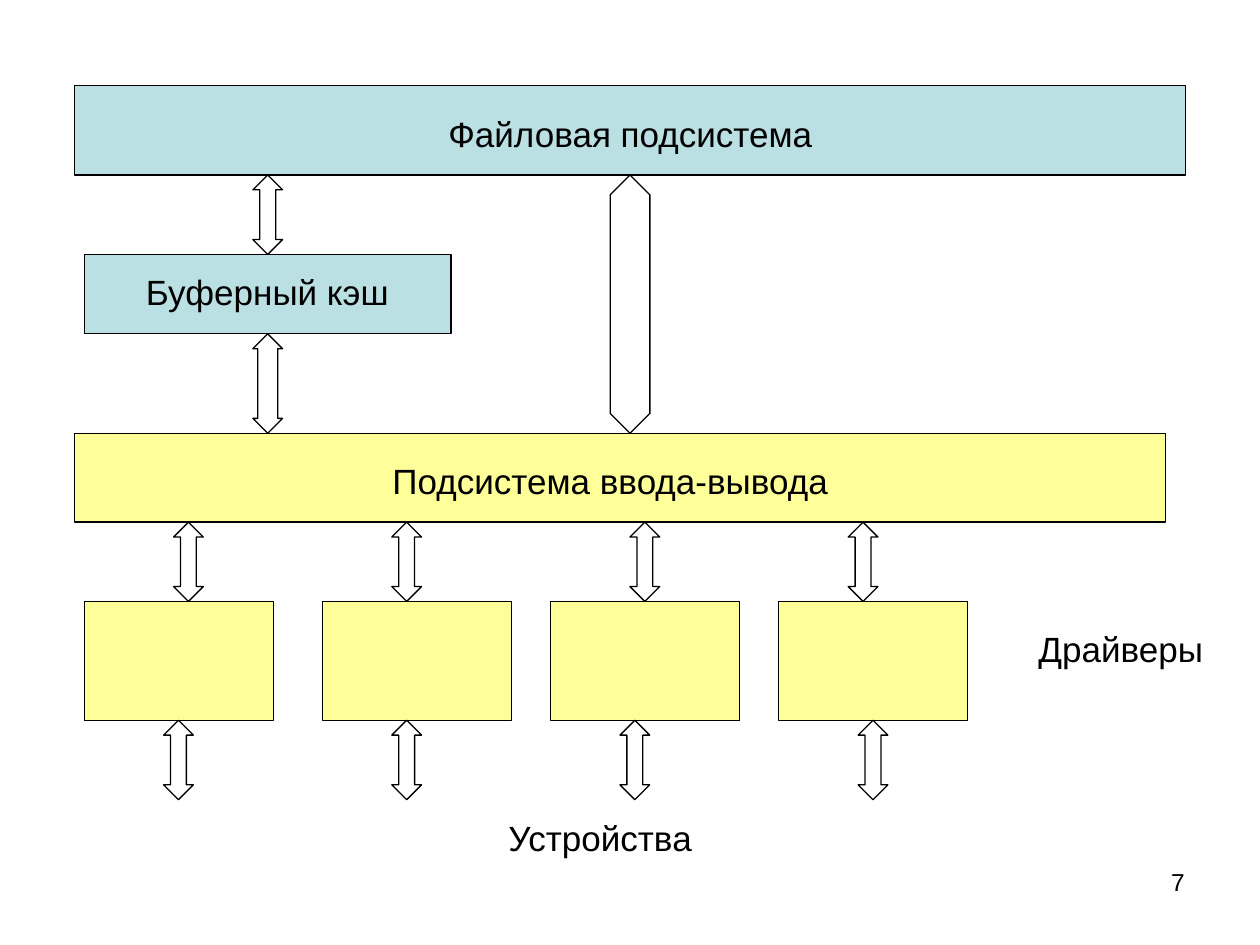
from typing import NamedTuple

from pptx import Presentation
from pptx.dml.color import RGBColor
from pptx.enum.shapes import MSO_SHAPE
from pptx.enum.text import PP_ALIGN
from pptx.util import Pt

COLOURS = {"file": "BBE0E3", "io": "FFFF99", "ink": "000000"}
FONT = "Arial"
HEAD_SHARE = 0.2  # each arrowhead's share of the arrow length


class Block(NamedTuple):
    left: float
    top: float
    width: float
    height: float
    colour: str


class Label(NamedTuple):
    text: str
    left: float
    top: float
    width: float


class Arrow(NamedTuple):
    centre: float
    top: float
    bottom: float
    width: float = 17


def outline(shape) -> None:
    shape.shadow.inherit = False
    shape.line.color.rgb = RGBColor.from_string(COLOURS["ink"])
    shape.line.width = Pt(0.75)


def draw_block(page, block: Block) -> None:
    box = page.shapes.add_shape(
        MSO_SHAPE.RECTANGLE,
        Pt(block.left), Pt(block.top), Pt(block.width), Pt(block.height))
    box.fill.solid()
    box.fill.fore_color.rgb = RGBColor.from_string(COLOURS[block.colour])
    outline(box)


def draw_arrow(page, arrow: Arrow) -> None:
    length = arrow.bottom - arrow.top
    shape = page.shapes.add_shape(
        MSO_SHAPE.UP_DOWN_ARROW,
        Pt(arrow.centre - arrow.width / 2), Pt(arrow.top),
        Pt(arrow.width), Pt(length))
    shape.adjustments[0] = 0.5
    shape.adjustments[1] = HEAD_SHARE * length / arrow.width
    shape.fill.background()
    outline(shape)


def draw_text(page, label: Label, *, size: float = 20, height: float = 31,
              align: PP_ALIGN = PP_ALIGN.CENTER) -> None:
    box = page.shapes.add_textbox(
        Pt(label.left), Pt(label.top), Pt(label.width), Pt(height))
    box.text_frame.word_wrap = True
    para = box.text_frame.paragraphs[0]
    para.alignment = align
    span = para.add_run()
    span.text = label.text
    span.font.name = FONT
    span.font.size = Pt(size)
    span.font.color.rgb = RGBColor.from_string(COLOURS["ink"])


# Levels of the diagram
FILE_TOP, FILE_BOTTOM = 49, 100
CACHE_TOP, CACHE_BOTTOM = 145.4, 190.8
IO_TOP, IO_BOTTOM = 247.6, 298.4
DRIVER_TOP, DRIVER_BOTTOM = 343.7, 411.6
DEVICE_TOP = 457
CACHE_CENTRE = 153

BLOCKS = [
    Block(42.5, FILE_TOP, 635, FILE_BOTTOM - FILE_TOP, "file"),
    Block(48.2, CACHE_TOP, 209.6, CACHE_BOTTOM - CACHE_TOP, "file"),
    Block(42.5, IO_TOP, 623.5, IO_BOTTOM - IO_TOP, "io"),
] + [
    Block(left, DRIVER_TOP, 108, DRIVER_BOTTOM - DRIVER_TOP, "io")
    for left in (48.2, 184.3, 314.6, 445)
]

LABELS = [
    Label("Файловая подсистема", 54, 60.5, 612.5),
    Label("Буферный кэш", 65, 151.2, 175.7),
    Label("Подсистема ввода-вывода", 54, 258.8, 589.5),
    Label("Устройства", 99.2, 463, 487.5),
    Label("Драйверы", 581, 355, 119),
]

ARROWS = [
    Arrow(CACHE_CENTRE, FILE_BOTTOM, CACHE_TOP),
    Arrow(CACHE_CENTRE, CACHE_BOTTOM, IO_TOP),
    Arrow(360, FILE_BOTTOM, IO_TOP, 22.7),
] + [
    Arrow(centre, IO_BOTTOM, DRIVER_TOP)
    for centre in (107.7, 232.4, 368.5, 493.2)
] + [
    Arrow(centre, DRIVER_BOTTOM, DEVICE_TOP)
    for centre in (102, 232.4, 362.8, 498.9)
]


def main() -> None:
    deck = Presentation()
    deck.slide_width, deck.slide_height = Pt(720), Pt(540)
    page = deck.slides.add_slide(deck.slide_layouts[6])

    # Page number
    draw_text(page, Label("7", 516, 492, 168), size=14, height=37.5,
              align=PP_ALIGN.RIGHT)

    # Subsystems and drivers, their names, and the links between them
    for block in BLOCKS:
        draw_block(page, block)
    for label in LABELS:
        draw_text(page, label)
    for arrow in ARROWS:
        draw_arrow(page, arrow)

    deck.save("out.pptx")


if __name__ == "__main__":
    main()
